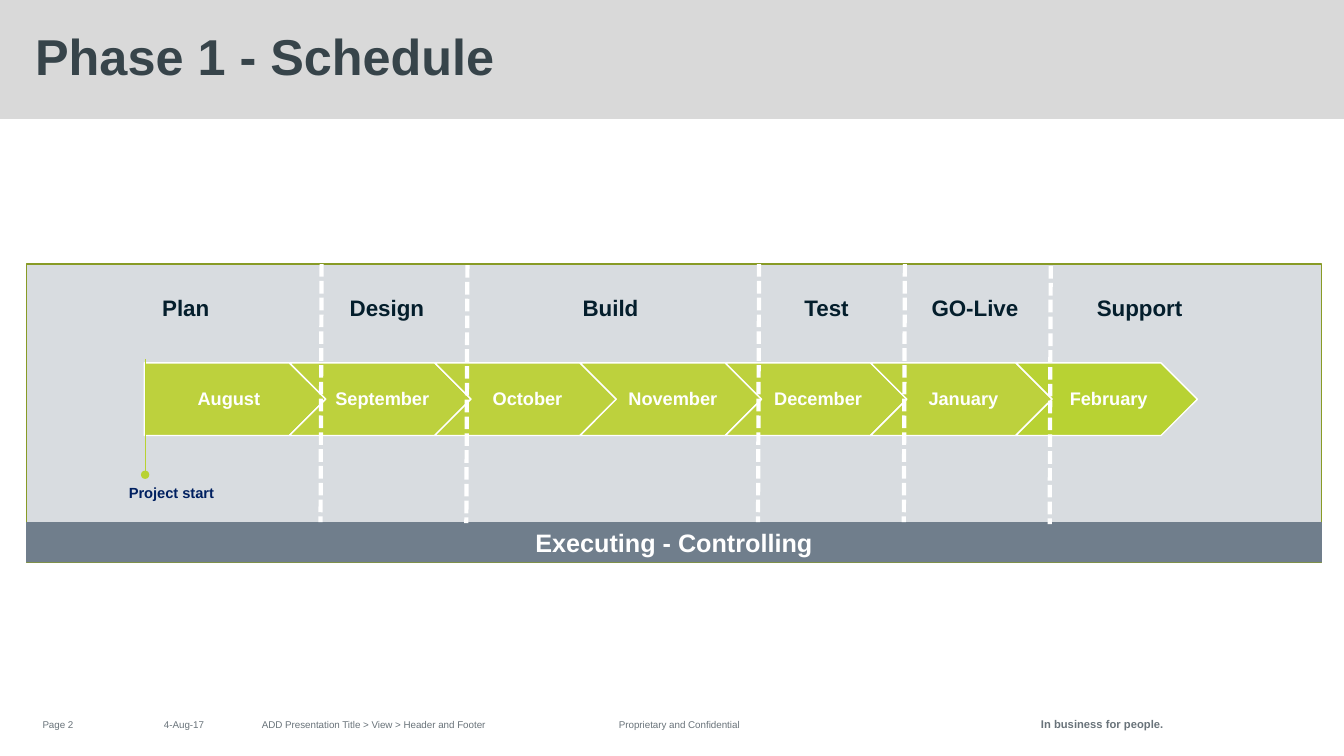
import dataclasses

import lxml.etree
import pptx
import pptx.dml.color
import pptx.enum.dml
import pptx.enum.shapes
import pptx.enum.text
import pptx.oxml.ns
import pptx.util

SHAPES = pptx.enum.shapes.MSO_SHAPE
ALIGN = pptx.enum.text.PP_ALIGN
ANCHOR = pptx.enum.text.MSO_ANCHOR


@dataclasses.dataclass(frozen=True)
class Theme:
    font: str = "Arial"
    white: str = "FFFFFF"
    header: str = "D9D9D9"
    title: str = "37444A"
    footer: str = "69737A"
    panel: str = "D8DCE0"
    panel_border: str = "889B26"
    band: str = "707E8C"
    month: str = "BDD13D"
    accent: str = "B8D233"
    phase: str = "041E2C"
    milestone: str = "002060"
    title_size: float = 36
    band_size: float = 18
    phase_size: float = 16
    month_size: float = 13
    milestone_size: float = 10.5
    tagline_size: float = 8
    footer_size: float = 7


class SlideBuilder:
    """Draws on one slide; positions and sizes are percentages of the slide."""

    def __init__(self, presentation, theme):
        self.presentation = presentation
        self.theme = theme
        self.slide = presentation.slides.add_slide(presentation.slide_layouts[6])

    def across(self, share):
        return round(self.presentation.slide_width * share / 100)

    def down(self, share):
        return round(self.presentation.slide_height * share / 100)

    def frame(self, left, top, width, height):
        return self.across(left), self.down(top), self.across(width), self.down(height)

    def color(self, value):
        return pptx.dml.color.RGBColor.from_string(value)

    def set_text(self, shape, text, size, color, bold=True, align=ALIGN.LEFT,
                 anchor=ANCHOR.TOP, line_spacing=None):
        text_frame = shape.text_frame
        text_frame.word_wrap = True
        text_frame.vertical_anchor = anchor
        paragraph = text_frame.paragraphs[0]
        paragraph.alignment = align
        paragraph.line_spacing = line_spacing
        run = paragraph.add_run()
        run.text = text
        run.font.name = self.theme.font
        run.font.size = pptx.util.Pt(size)
        run.font.bold = bold
        run.font.color.rgb = self.color(color)

    def label(self, frame, text, size, color, **style):
        box = self.slide.shapes.add_textbox(*self.frame(*frame))
        self.set_text(box, text, size, color, **style)
        return box

    def block(self, frame, fill, border=None, preset=SHAPES.RECTANGLE):
        shape = self.slide.shapes.add_shape(preset, *self.frame(*frame))
        shape.shadow.inherit = False
        shape.fill.solid()
        shape.fill.fore_color.rgb = self.color(fill)
        if border:
            shape.line.color.rgb = self.color(border)
            shape.line.width = pptx.util.Pt(1)
        else:
            shape.line.fill.background()
        return shape

    def line(self, start, end, color, width):
        connector = self.slide.shapes.add_connector(
            pptx.enum.shapes.MSO_CONNECTOR.STRAIGHT,
            self.across(start[0]), self.down(start[1]),
            self.across(end[0]), self.down(end[1]))
        connector.line.color.rgb = self.color(color)
        connector.line.width = pptx.util.Pt(width)
        lxml.etree.SubElement(connector._element.spPr, pptx.oxml.ns.qn("a:effectLst"))
        return connector

    def divider(self, start, end):
        connector = self.line(start, end, self.theme.white, 3)
        connector.line.dash_style = pptx.enum.dml.MSO_LINE.SQUARE_DOT

    def pin(self, start, end):
        """Thin line that ends in a dot."""
        connector = self.line(start, end, self.theme.accent, 0.5)
        outline = connector.line._get_or_add_ln()
        lxml.etree.SubElement(outline, pptx.oxml.ns.qn("a:tailEnd"), type="oval")

    def month(self, frame, name, fill, preset, left_inset):
        arrow = self.block(frame, fill, self.theme.white, preset)
        self.set_text(arrow, name, self.theme.month_size, self.theme.white,
                      align=ALIGN.CENTER, anchor=ANCHOR.MIDDLE, line_spacing=0.9)
        text_frame = arrow.text_frame
        text_frame.margin_left = pptx.util.Inches(left_inset)
        text_frame.margin_right = pptx.util.Inches(0.02)
        text_frame.margin_top = text_frame.margin_bottom = pptx.util.Inches(0.04)


FOOTERS = [
    ("Page 2", 0, 8.63, ALIGN.CENTER, ANCHOR.TOP),
    ("Proprietary and Confidential", 45.31, 16.58, ALIGN.LEFT, ANCHOR.TOP),
    ("4-Aug-17", 8.63, 10.13, ALIGN.CENTER, ANCHOR.MIDDLE),
    ("ADD Presentation Title > View > Header and Footer", 18.75, 26.48,
     ALIGN.LEFT, ANCHOR.MIDDLE),
]
MONTHS = ["August", "September", "October", "November", "December", "January", "February"]
PHASES = [("Plan", 11.33), ("Design", 25.28), ("Build", 42.61),
          ("Test", 59.11), ("GO-Live", 68.57), ("Support", 80.87)]
# Month column after which a phase ends, and top of its divider
DIVIDERS = [(0, 34.93), (1, 35.07), (3, 34.93), (4, 34.93), (5, 35.2)]


def draw_frame(builder):
    theme = builder.theme
    builder.block((0, 0, 100, 15.73), theme.header)
    builder.label((1.88, 0, 96.32, 15.6), "Phase 1 - Schedule", theme.title_size,
                  theme.title, anchor=ANCHOR.MIDDLE, line_spacing=0.9)
    tagline = builder.label((69.62, 94.27, 16.95, 3.2), "In business for people.",
                            theme.tagline_size, theme.footer, align=ALIGN.RIGHT)
    tagline.text_frame.margin_right = 0
    for text, left, width, align, anchor in FOOTERS:
        builder.label((left, 94.4, width, 2.93), text, theme.footer_size, theme.footer,
                      bold=False, align=align, anchor=anchor)


def draw_schedule(builder):
    theme = builder.theme
    builder.block((1.95, 34.93, 96.4, 39.47), theme.panel, theme.panel_border)
    band = builder.block((1.95, 69.07, 96.4, 5.33), theme.band)
    builder.set_text(band, "Executing - Controlling", theme.band_size, theme.white,
                     align=ALIGN.CENTER)

    for index, name in enumerate(MONTHS):
        first, last = index == 0, index == len(MONTHS) - 1
        builder.month((10.73 + 10.81 * index, 48, 13.5, 9.6), name,
                      theme.accent if last else theme.month,
                      SHAPES.PENTAGON if first else SHAPES.CHEVRON,
                      0.08 if first else 0.06)

    builder.label((8.85, 63.33, 9, 3.73), "Project start",
                  theme.milestone_size, theme.milestone)
    builder.pin((10.8, 47.47), (10.8, 62.8))

    for column, top in DIVIDERS:
        left = 23.93 + 10.85 * column
        builder.divider((left, top), (left - 0.08, top + 34.13))
    for name, left in PHASES:
        builder.label((left, 38.27, 8.78, 4.93), name, theme.phase_size, theme.phase)


def main():
    presentation = pptx.Presentation()
    presentation.slide_width = pptx.util.Inches(13.33)
    presentation.slide_height = pptx.util.Inches(7.5)
    builder = SlideBuilder(presentation, Theme())
    draw_frame(builder)
    draw_schedule(builder)
    presentation.save("out.pptx")


if __name__ == "__main__":
    main()
